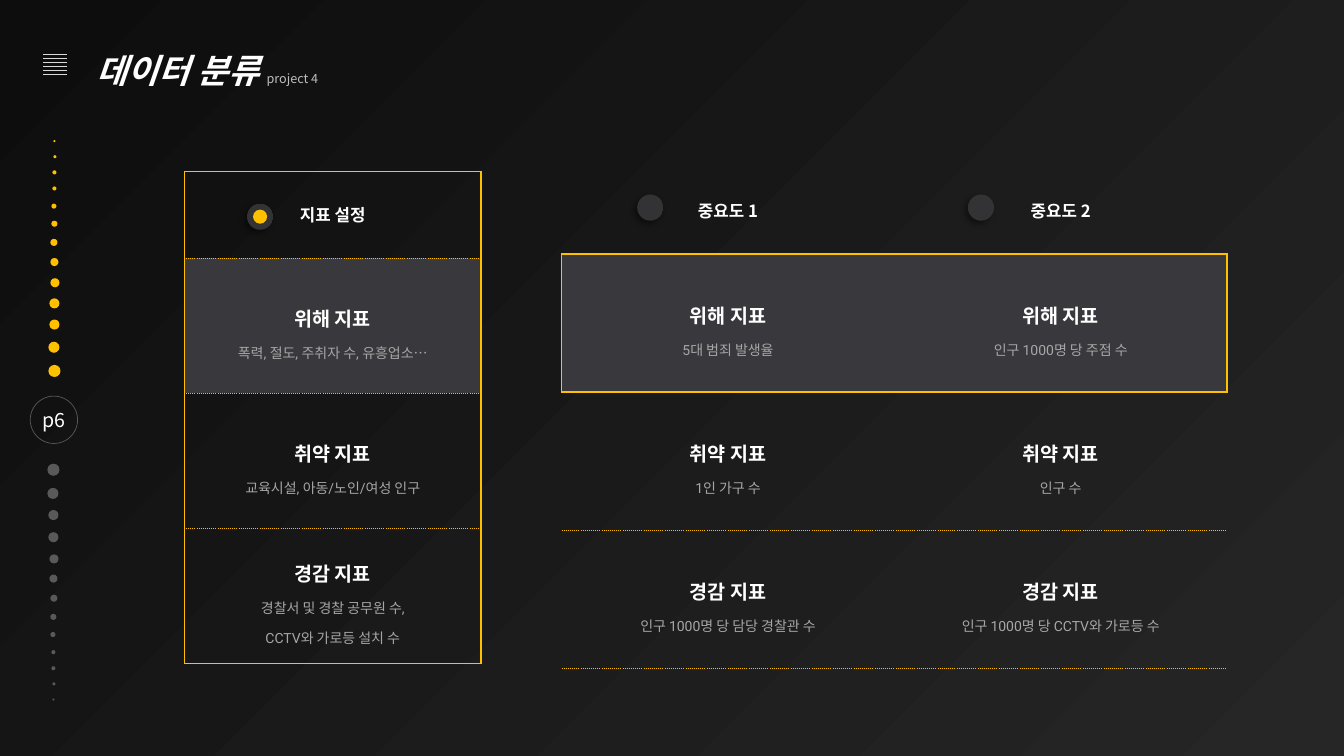
import pptx
import pptx.dml.color
import pptx.enum.shapes
import pptx.enum.text
import pptx.oxml
import pptx.oxml.ns
import pptx.util

COLORS = {
    "gold": "FFC000", "white": "FFFFFF", "panel": "39393D", "muted": "A6A6A6",
    "subtitle": "BFBFBF", "icon": "D9D9D9", "grey": "595959",
    "knob_start": "333234", "knob_end": "313033",
    "night": "0D0D0D", "dusk": "262626", "shadow": "000000",
}
HEAD_FONT = "Noto Sans CJK KR"
BODY_FONT = "Roboto"
SOLID = (1, "solid")
DOTTED = (0.75, "sysDot")
PX = 9144


class SlideBuilder:
    """Holds the style and the current slide, and draws each kind of element."""

    def __init__(self, width, height):
        self.deck = pptx.Presentation()
        self.deck.slide_width, self.deck.slide_height = self.px(width, height)
        self.slide = self.deck.slides.add_slide(self.deck.slide_layouts[5])

    def px(self, *lengths):
        return [pptx.util.Emu(length * PX) for length in lengths]

    def rgb(self, color):
        return pptx.dml.color.RGBColor.from_string(COLORS[color])

    def xml(self, tag, attributes="", inner=""):
        namespace = pptx.oxml.ns.nsdecls("a")
        return pptx.oxml.parse_xml(f"<a:{tag} {namespace} {attributes}>{inner}</a:{tag}>")

    def gradient(self, fill, *colors):
        fill.gradient()
        for stop, color in zip(fill.gradient_stops, colors):
            stop.color.rgb = self.rgb(color)

    def background(self, start, end):
        self.gradient(self.slide.background.fill, start, end)
        linear = next(self.slide.element.iter(pptx.oxml.ns.qn("a:lin")))
        focus = '<a:fillToRect l="0" t="0" r="100000" b="100000"/>'
        linear.getparent().replace(linear, self.xml("path", 'path="circle"', focus))

    def style(self, run, size, color, font, bold=False, italic=False):
        run.font.size = pptx.util.Pt(size)
        run.font.bold, run.font.italic = bold, italic
        run.font.color.rgb = self.rgb(color)
        run.font.name = font
        latin = run.font._element.find(pptx.oxml.ns.qn("a:latin"))
        latin.addnext(self.xml("ea", f'typeface="{HEAD_FONT}"'))

    def title(self, box, heading, subtitle):
        title = self.slide.shapes.title
        title.left, title.top, title.width, title.height = self.px(*box)
        frame = title.text_frame
        frame.text = heading
        frame.word_wrap = True
        frame.auto_size = pptx.enum.text.MSO_AUTO_SIZE.SHAPE_TO_FIT_TEXT
        frame.vertical_anchor = pptx.enum.text.MSO_ANCHOR.TOP
        paragraph = frame.paragraphs[0]
        paragraph.alignment = pptx.enum.text.PP_ALIGN.LEFT
        paragraph.line_spacing = 1.5
        paragraph.add_run().text = subtitle
        self.style(paragraph.runs[0], 24, "white", HEAD_FONT, True, True)
        self.style(paragraph.runs[1], 9, "subtitle", HEAD_FONT)

    def menu_icon(self, left, right, tops):
        icon = self.slide.shapes.add_group_shape()
        for top in tops:
            bar = icon.shapes.add_connector(
                pptx.enum.shapes.MSO_CONNECTOR.STRAIGHT, *self.px(left, top, right, top))
            bar.line.color.rgb = self.rgb("icon")
            bar.line.width = pptx.util.Pt(0.5)
            bar._element.spPr.append(self.xml("effectLst"))

    def circle(self, left, top, size, color=None):
        circle = self.slide.shapes.add_shape(
            pptx.enum.shapes.MSO_SHAPE.OVAL, *self.px(left, top, size, size))
        circle.shadow.inherit = False
        circle.line.fill.background()
        if color:
            circle.fill.solid()
            circle.fill.fore_color.rgb = self.rgb(color)
        else:
            circle.fill.background()
        return circle

    def knob_disc(self, left, top, size):
        disc = self.circle(left, top, size)
        self.gradient(disc.fill, "knob_start", "knob_end")
        disc.fill.gradient_angle = 45
        return disc

    def knob(self, left, top, selected=False):
        ring = self.knob_disc(left, top, 26)
        shade = f'<a:srgbClr val="{COLORS["shadow"]}"><a:alpha val="40000"/></a:srgbClr>'
        effects = ring._element.spPr.find(pptx.oxml.ns.qn("a:effectLst"))
        effects.append(self.xml(
            "outerShdw", 'blurRad="50800" dist="38100" dir="8100000" rotWithShape="0"', shade))
        if selected:
            self.circle(left + 6, top + 6, 14, "gold")
        else:
            self.knob_disc(left + 6, top + 6, 14)

    def dot_trail(self, center_x, start_y, direction, color):
        for step in range(13):
            size = 12 - step * 10 / 12
            center_y = start_y + direction * (23.1 * step - 0.375 * step * (step - 1))
            self.circle(round(center_x - size / 2), round(center_y - size / 2),
                        round(size), color)

    def page_badge(self, left, top, size, label):
        badge = self.circle(left, top, size)
        badge.line.color.rgb = self.rgb("grey")
        badge.line.width = pptx.util.Pt(0.5)
        badge.text_frame.text = label
        badge.text_frame.word_wrap = False
        badge.text_frame.vertical_anchor = pptx.enum.text.MSO_ANCHOR.MIDDLE
        paragraph = badge.text_frame.paragraphs[0]
        paragraph.alignment = pptx.enum.text.PP_ALIGN.CENTER
        self.style(paragraph.runs[0], 14, "white", HEAD_FONT)

    def borders(self, cell, edges):
        properties = cell._tc.get_or_add_tcPr()
        for index, side in enumerate("LRTB"):
            if side in edges:
                width, dash = edges[side]
                line = self.xml(
                    f"ln{side}", f'w="{int(width * 12700)}"',
                    f'<a:solidFill><a:srgbClr val="{COLORS["gold"]}"/></a:solidFill>'
                    f'<a:prstDash val="{dash}"/>')
            else:
                line = self.xml(f"ln{side}", 'w="0"', "<a:noFill/>")
            properties.insert(index, line)

    def cell(self, cell, text, is_header, is_active, edges):
        cell.text = text
        cell.vertical_anchor = pptx.enum.text.MSO_ANCHOR.MIDDLE
        for index, paragraph in enumerate(cell.text_frame.paragraphs):
            paragraph.alignment = pptx.enum.text.PP_ALIGN.CENTER
            if is_header:
                self.style(paragraph.runs[0], 12, "white", HEAD_FONT, True)
                continue
            paragraph.line_spacing = 1.5
            size, color = (10, "muted") if index else (14, "white")
            self.style(paragraph.runs[0], size, color, BODY_FONT, index == 0)
        if is_active:
            cell.fill.solid()
            cell.fill.fore_color.rgb = self.rgb("panel")
        else:
            cell.fill.background()
        self.borders(cell, edges)

    def table(self, left, top, column_width, row_heights, rows, edges_at):
        columns = len(rows[0])
        table = self.slide.shapes.add_table(
            len(rows), columns,
            *self.px(left, top, column_width * columns, sum(row_heights))).table
        table.first_row = table.horz_banding = False
        for column in table.columns:
            column.width = self.px(column_width)[0]
        for r, (height, texts) in enumerate(zip(row_heights, rows)):
            table.rows[r].height = self.px(height)[0]
            for c, text in enumerate(texts):
                self.cell(table.cell(r, c), text, r == 0, r == 1, edges_at(r, c))


def indicator_edges(row, column):
    return {"L": SOLID, "R": SOLID, "T": DOTTED if row else SOLID,
            "B": SOLID if row == 3 else DOTTED}


def priority_edges(row, column):
    edges = {"B": SOLID if row < 2 else DOTTED}
    if row:
        edges["T"] = SOLID if row < 3 else DOTTED
    if row == 1:
        edges["R" if column else "L"] = SOLID
    return edges


def main():
    page = SlideBuilder(1333, 750)
    page.background("night", "dusk")
    page.title((86, 24, 883, 71), "데이터 분류 ", "project 4")
    page.menu_icon(43, 66, range(54, 75, 4))
    page.dot_trail(54, 368, -1, "gold")
    page.dot_trail(53, 466, 1, "grey")
    page.table(183, 170, 294, [86, 134, 134, 134], [
        ["지표 설정"],
        ["위해 지표\n폭력, 절도, 주취자 수, 유흥업소…"],
        ["취약 지표\n교육시설, 아동/노인/여성 인구"],
        ["경감 지표\n경찰서 및 경찰 공무원 수,\nCCTV와 가로등 설치 수"],
    ], indicator_edges)
    page.table(557, 166, 330, [86, 137, 137, 137], [
        ["중요도 1", "중요도 2"],
        ["위해 지표\n5대 범죄 발생율", "위해 지표\n인구 1000명 당 주점 수"],
        ["취약 지표\n1인 가구 수", "취약 지표\n인구 수"],
        ["경감 지표\n인구 1000명 당 담당 경찰관 수",
         "경감 지표\n인구 1000명 당 CCTV와 가로등 수"],
    ], priority_edges)
    page.knob(245, 202, selected=True)
    page.knob(632, 193)
    page.knob(960, 193)
    page.page_badge(30, 393, 47, "p6")
    page.deck.save("out.pptx")


if __name__ == "__main__":
    main()
